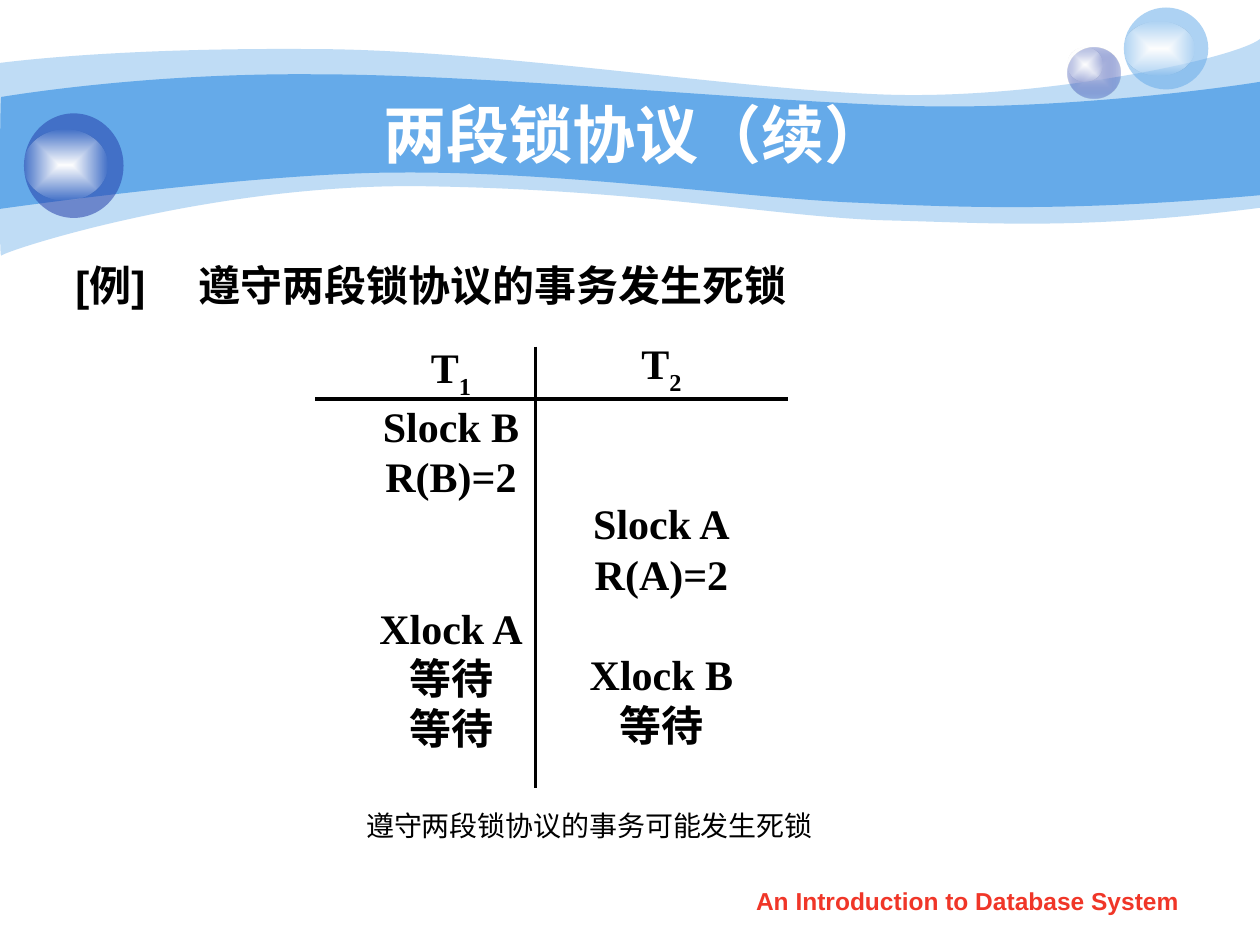
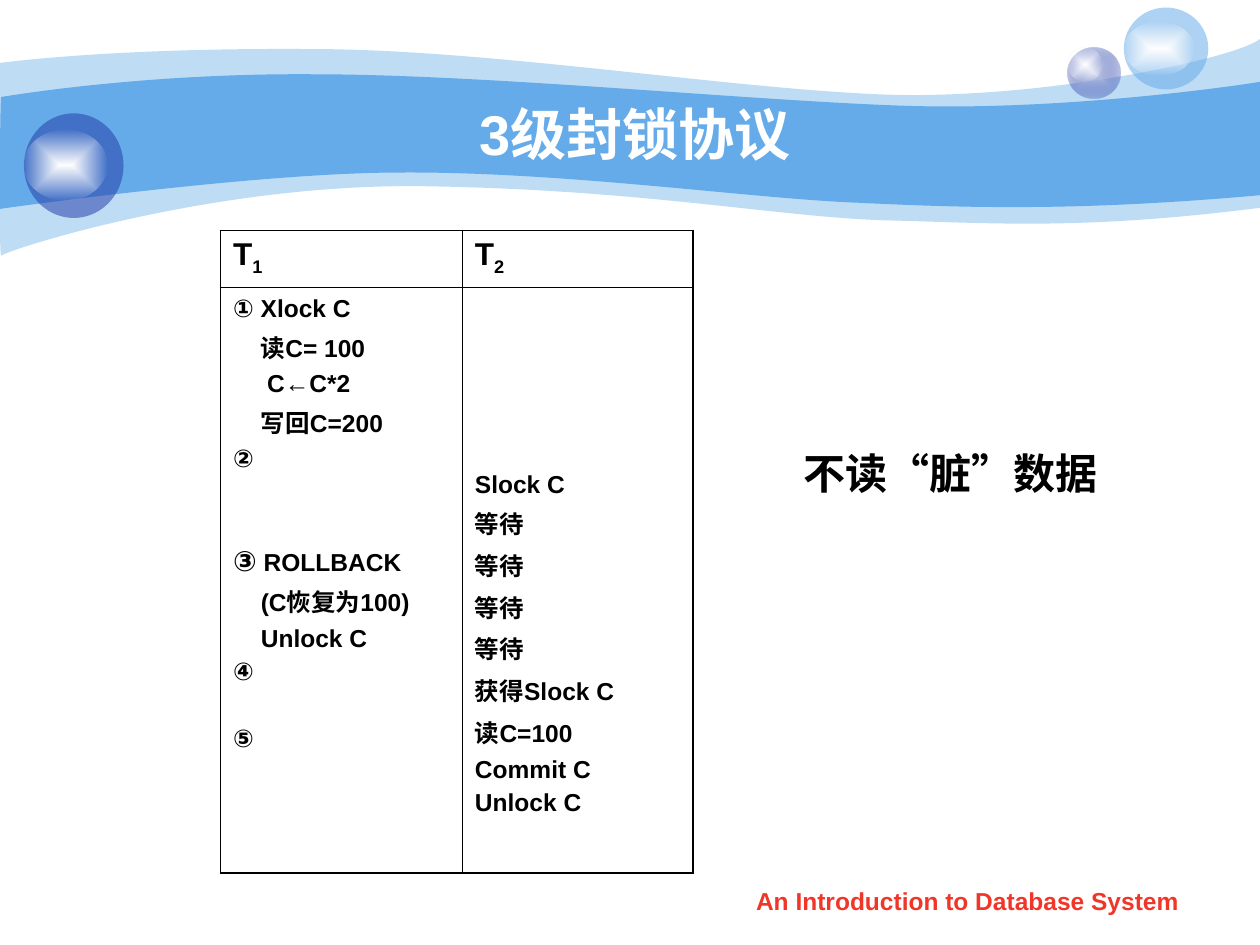
from dataclasses import dataclass
from typing import NamedTuple

from lxml.etree import SubElement
from pptx import Presentation
from pptx.dml.color import RGBColor
from pptx.enum.shapes import MSO_CONNECTOR, MSO_SHAPE
from pptx.enum.text import MSO_ANCHOR, PP_ALIGN
from pptx.oxml import parse_xml
from pptx.oxml.ns import nsdecls, qn
from pptx.util import Inches, Pt


@dataclass(frozen=True)
class Theme:
    """Colours, fonts and type sizes of the deck."""

    sky: str = "65AAE9"
    navy: str = "233DA9"
    lilac: str = "C6CCE8"
    white: str = "FFFFFF"
    black: str = "000000"
    red: str = "F03628"
    sans: str = "Arial"
    serif: str = "Times New Roman"
    title: float = 36
    small_title: float = 32
    body: float = 24
    heading: float = 18
    caption: float = 16
    small: float = 14


THEME = Theme()
SCHEDULE_PITCH = 28.8
STEP_GAP = 3.5
BLANK_STEP = 19


class Box(NamedTuple):
    """A rectangle in inches."""

    left: float
    top: float
    width: float
    height: float


class Stop(NamedTuple):
    """A gradient colour with its opacity in percent."""

    colour: str
    opacity: float = 100


class Ball(NamedTuple):
    """An ellipse with one flat colour or a gradient from its centre."""

    box: Box
    stops: tuple[Stop, ...]


class Wave(NamedTuple):
    """A closed outline of curves along the top and back along the bottom."""

    upper: tuple[tuple[float, ...], ...]
    lower: tuple[tuple[float, ...], ...]
    paint: Stop


class Line(NamedTuple):
    """One paragraph with an optional marker in front and subscript behind."""

    text: str
    before: float = 0
    indent: float = 0
    subscript: str = ""
    marker: str = ""
    marker_size: float = THEME.small


GLOSS = (Stop(THEME.white), Stop("FEFEFE", 0))
BALLS = (
    Ball(Box(8.47, 0.38, 0.42, 0.4), (Stop(THEME.lilac), Stop(THEME.navy, 31))),
    Ball(Box(8.47, 0.38, 0.28, 0.27), GLOSS),
    Ball(Box(8.92, 0.06, 0.67, 0.65), (Stop(THEME.sky, 53),)),
    Ball(Box(8.92, 0.17, 0.56, 0.43), GLOSS),
    Ball(Box(0.19, 0.9, 0.79, 0.83), (Stop(THEME.navy, 53),)),
    Ball(Box(0.19, 1.03, 0.66, 0.56), GLOSS),
)
WAVES = (
    Wave(
        ((0, 0.5), (0.24, 0.47, 1.07, 0.38, 2.47, 0.39),
         (3.86, 0.39, 5.75, 0.7, 6.99, 0.75), (8.22, 0.8, 9.8, 0.47, 10, 0.31)),
        ((10, 1.65), (8.58, 1.83, 7.87, 1.77, 7.05, 1.75),
         (6.22, 1.73, 5.15, 1.51, 3.43, 1.48), (1.72, 1.44, 0.04, 1.99, 0.01, 2.03),
         (-0.01, 2.08, 0, 0.75, 0, 0.5)),
        Stop(THEME.sky, 41),
    ),
    Wave(
        ((0.01, 0.77), (0.02, 0.77, 1.1, 0.58, 2.48, 0.59),
         (3.86, 0.59, 5.95, 0.8, 7.18, 0.84), (8.41, 0.88, 9.76, 0.69, 10, 0.65)),
        ((10, 1.55), (8.53, 1.68, 7.65, 1.65, 6.82, 1.61),
         (5.99, 1.58, 4.47, 1.36, 3.17, 1.37), (2.03, 1.37, -0.02, 1.66, -0.01, 1.66),
         (0, 1.66, 0, 0.77, 0.01, 0.77)),
        Stop(THEME.sky),
    ),
)


def colour_xml(stop: Stop) -> str:
    """Return the colour element of a stop."""
    alpha = f'<a:alpha val="{stop.opacity * 1000:.0f}"/>' if stop.opacity < 100 else ""
    return f'<a:srgbClr val="{stop.colour}">{alpha}</a:srgbClr>'


def paint(shape, stops: tuple[Stop, ...]) -> None:
    """Fill a shape with one colour or a centred gradient, without outline or shadow."""
    if len(stops) == 1:
        fill = f'<a:solidFill {nsdecls("a")}>{colour_xml(stops[0])}</a:solidFill>'
    else:
        inner, outer = map(colour_xml, stops)
        fill = (
            f'<a:gradFill {nsdecls("a")}><a:gsLst><a:gs pos="0">{inner}</a:gs>'
            f'<a:gs pos="100000">{outer}</a:gs></a:gsLst><a:path path="rect">'
            '<a:fillToRect l="50000" t="50000" r="50000" b="50000"/></a:path></a:gradFill>'
        )
    shape.line.fill.background()
    shape.shadow.inherit = False
    shape._element.spPr.insert(2, parse_xml(fill))


def draw_wave(slide, wave: Wave) -> None:
    """Draw one wave band, joining each three outline points into a cubic curve."""
    segments = wave.upper + wave.lower
    points = [
        (Inches(x), Inches(y))
        for segment in segments for x, y in zip(segment[::2], segment[1::2])
    ]
    builder = slide.shapes.build_freeform(*points[0])
    builder.add_line_segments(points[1:], close=True)
    shape = builder.convert_to_shape()
    steps = iter(list(shape._element.iter(qn("a:lnTo"))))
    for segment in segments[1:]:
        first = next(steps)
        if len(segment) == 2:
            continue
        curve = first.makeelement(qn("a:cubicBezTo"))
        first.addprevious(curve)
        for step in (first, next(steps), next(steps)):
            curve.append(step[0])
            step.getparent().remove(step)
    paint(shape, (wave.paint,))


def write(frame, lines: list[Line], *, size: float, font: str = THEME.sans,
          colour: str = THEME.black, bold: bool = True, align=PP_ALIGN.LEFT,
          pitch: float | None = None, tab: float | None = None, drop: int = 30) -> None:
    """Write lines into a text frame with one format."""
    for index, line in enumerate(lines):
        paragraph = frame.add_paragraph() if index else frame.paragraphs[0]
        properties = paragraph._p.get_or_add_pPr()
        paragraph.alignment = align
        if line.before:
            paragraph.space_before = Pt(line.before)
        if pitch:
            paragraph.line_spacing = Pt(pitch)
        if line.indent:
            properties.set("marL", str(Inches(line.indent)))
        if tab:
            stops = SubElement(properties, qn("a:tabLst"))
            SubElement(stops, qn("a:tab"), pos=str(Inches(tab)), algn="l")
        parts = ((line.marker, line.marker_size, 0), (line.text, size, 0),
                 (line.subscript, size, -drop))
        for text, run_size, baseline in parts:
            if not text:
                continue
            run = paragraph.add_run()
            run.text = text
            run.font.name, run.font.size, run.font.bold = font, Pt(run_size), bold
            run.font.color.rgb = RGBColor.from_string(colour)
            if baseline:
                run._r.get_or_add_rPr().set("baseline", str(baseline * 1000))


def add_text(slide, box: Box, lines: list[Line], anchor=MSO_ANCHOR.TOP, **text_format) -> None:
    """Add a text box."""
    frame = slide.shapes.add_textbox(*map(Inches, box)).text_frame
    frame.word_wrap = True
    frame.vertical_anchor = anchor
    write(frame, lines, **text_format)


def add_rule(slide, start: tuple[float, float], end: tuple[float, float]) -> None:
    """Add a straight black line."""
    rule = slide.shapes.add_connector(MSO_CONNECTOR.STRAIGHT, *map(Inches, start + end))
    rule.line.color.rgb = RGBColor.from_string(THEME.black)
    rule.line.width = Pt(2.25)
    SubElement(rule._element.spPr, qn("a:effectLst"))


def add_slide(presentation, title: str, title_size: float):
    """Add a slide with the waves, balls, title and footer."""
    slide = presentation.slides.add_slide(presentation.slide_layouts[6])
    for wave in WAVES:
        draw_wave(slide, wave)
    for ball in BALLS:
        paint(slide.shapes.add_shape(MSO_SHAPE.OVAL, *map(Inches, ball.box)), ball.stops)
    add_text(slide, Box(1, 0.75, 8.08, 0.62), [Line(title)], MSO_ANCHOR.MIDDLE,
             size=title_size, colour=THEME.white, align=PP_ALIGN.CENTER)
    add_text(slide, Box(5.71, 6.98, 3.94, 0.35), [Line("An Introduction to Database System")],
             size=THEME.small, colour=THEME.red, align=PP_ALIGN.CENTER)
    return slide


def set_borders(cell, widths: dict[str, float]) -> None:
    """Give each side of a cell a black border."""
    properties = cell._tc.get_or_add_tcPr()
    for position, (side, width) in enumerate(widths.items()):
        properties.insert(position, parse_xml(
            f'<a:ln{side} {nsdecls("a")} w="{Pt(width)}"><a:solidFill>'
            f'{colour_xml(Stop(THEME.black))}</a:solidFill></a:ln{side}>'))


def build_deadlock_slide(presentation) -> None:
    """Build the slide on two-phase locking with a deadlock."""
    slide = add_slide(presentation, "两段锁协议（续）", THEME.title)
    add_text(slide, Box(0.5, 2.01, 9, 4.92), [Line("[例]\t遵守两段锁协议的事务发生死锁")],
             size=THEME.body, tab=0.98)
    first = [Line("T", subscript="1"), Line("Slock B"), Line("R(B)=2"),
             Line("Xlock A", before=2 * SCHEDULE_PITCH), Line("等待"), Line("等待")]
    second = [Line("T", subscript="2"), Line("Slock A", before=2 * SCHEDULE_PITCH),
              Line("R(A)=2"), Line("Xlock B", before=SCHEDULE_PITCH), Line("等待")]
    for left, top, lines in ((2.91, 2.73, first), (4.58, 2.7, second)):
        add_text(slide, Box(left - 0.13, top, 1.6, 3.92), lines, size=THEME.body,
                 font=THEME.serif, align=PP_ALIGN.CENTER, pitch=SCHEDULE_PITCH)
    add_rule(slide, (2.5, 3.17), (6.25, 3.17))
    add_rule(slide, (4.25, 2.75), (4.25, 6.25))
    add_text(slide, Box(2.43, 6.37, 4.5, 0.4), [Line("遵守两段锁协议的事务可能发生死锁")],
             size=THEME.caption, font=THEME.serif, bold=False, align=PP_ALIGN.CENTER)


def build_dirty_read_slide(presentation) -> None:
    """Build the slide on the level-three locking protocol."""
    slide = add_slide(presentation, "3级封锁协议", THEME.small_title)
    table = slide.shapes.add_table(2, 2, *map(Inches, Box(1.75, 1.83, 3.75, 5.1))).table
    table.first_row = table.horz_banding = False
    for column, width in zip(table.columns, (1.92, 1.83)):
        column.width = Inches(width)
    for row, height in zip(table.rows, (0.45, 4.65)):
        row.height = Inches(height)
    writer = [
        Line(" Xlock C", marker="①"), Line("读C= 100", STEP_GAP, 0.22),
        Line("C←C*2", STEP_GAP, 0.27), Line("写回C=200", STEP_GAP, 0.22),
        Line("②", STEP_GAP),
        Line(" ROLLBACK", STEP_GAP + 2 * BLANK_STEP, marker="③", marker_size=THEME.caption),
        Line("(C恢复为100)", STEP_GAP, 0.22), Line("Unlock C", STEP_GAP, 0.22),
        Line("④", STEP_GAP), Line("⑤", STEP_GAP + BLANK_STEP),
    ]
    reader_steps = ["等待"] * 4 + ["获得Slock C", "读C=100", "Commit C", "Unlock C"]
    reader = [Line("Slock C")] + [Line(step, STEP_GAP) for step in reader_steps]
    for column, (lines, top) in enumerate(((writer, 0.06), (reader, 1.46))):
        heading, steps = table.cell(0, column), table.cell(1, column)
        write(heading.text_frame, [Line("T", subscript=str(column + 1))],
              size=THEME.heading, drop=25)
        write(steps.text_frame, lines, size=THEME.small)
        steps.margin_top = Inches(top)
        for row, cell in enumerate((heading, steps)):
            cell.fill.background()
            outer = {"L": column == 0, "R": column == 1, "T": row == 0, "B": row == 1}
            set_borders(cell, {side: 1.08 if edge else 0.45 for side, edge in outer.items()})
    add_text(slide, Box(6.13, 3.42, 2.83, 0.67), [Line("不读“脏”数据")], MSO_ANCHOR.MIDDLE,
             size=THEME.body, font=THEME.serif, align=PP_ALIGN.CENTER)


def main() -> None:
    """Build and save the deck."""
    presentation = Presentation()
    presentation.slide_width, presentation.slide_height = Inches(10), Inches(7.5)
    build_deadlock_slide(presentation)
    build_dirty_read_slide(presentation)
    presentation.save("out.pptx")


if __name__ == "__main__":
    main()
